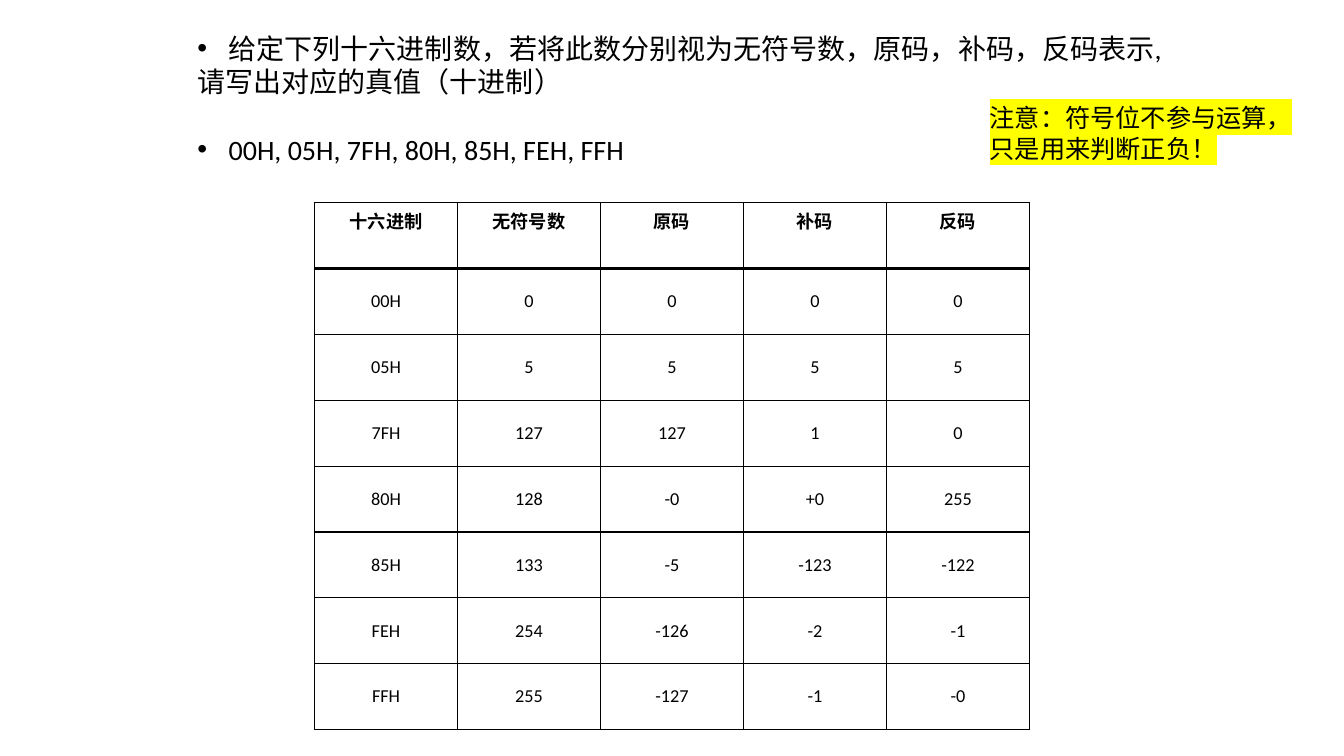
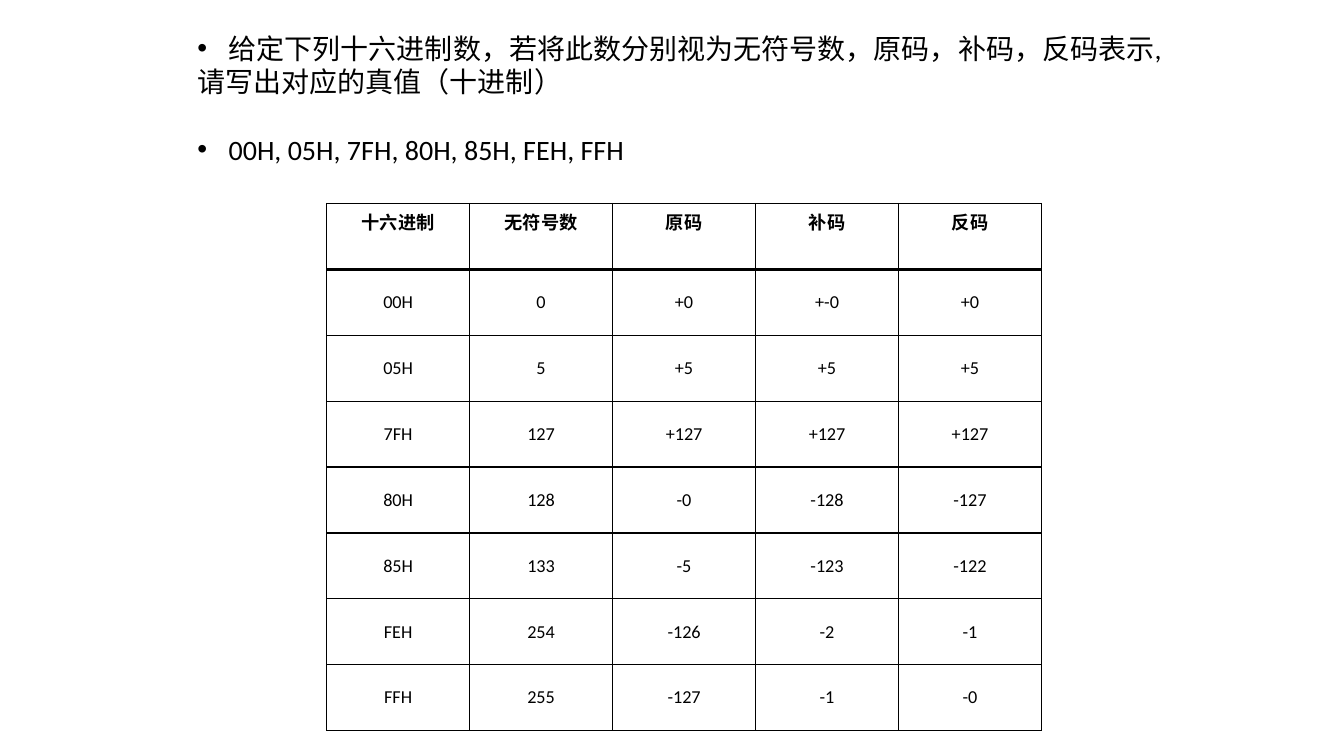
from dataclasses import dataclass

from lxml.etree import SubElement
from pptx import Presentation
from pptx.dml.color import RGBColor
from pptx.enum.lang import MSO_LANGUAGE_ID as Language
from pptx.enum.text import MSO_ANCHOR as Anchor, MSO_AUTO_SIZE as AutoSize, PP_ALIGN as Align
from pptx.oxml import parse_xml
from pptx.oxml.ns import nsdecls, qn
from pptx.slide import Slide
from pptx.table import _Cell as Cell
from pptx.text.text import TextFrame, _Paragraph as Paragraph
from pptx.util import Emu, Inches, Pt

SLIDE_WIDTH, SLIDE_HEIGHT = Inches(13.33), Inches(7.5)
FONT, INK, HIGHLIGHT = "Calibri", "000000", "FFFF00"
QUESTION_SIZE, NOTE_SIZE, TABLE_SIZE = 20, 18, 13
BULLET_INDENT = Inches(0.31)
THIN, THICK = 1, 2

HEADINGS = ("十六进制", "无符号数", "原码", "补码", "反码")
CODES = ("00H", "05H", "7FH", "80H", "85H", "FEH", "FFH")


@dataclass(frozen=True)
class Area:
    """A rectangle in percent of the slide's width and height."""
    left: float
    top: float
    width: float
    height: float

    def lengths(self) -> tuple[Emu, Emu, Emu, Emu]:
        return (Emu(int(SLIDE_WIDTH * self.left / 100)), Emu(int(SLIDE_HEIGHT * self.top / 100)),
                Emu(int(SLIDE_WIDTH * self.width / 100)), Emu(int(SLIDE_HEIGHT * self.height / 100)))


@dataclass(frozen=True)
class QuestionLine:
    text: str
    bulleted: bool = True
    space_before: int = 0


@dataclass(frozen=True)
class Exercise:
    question_area: Area
    table_area: Area
    values: tuple[tuple[str, ...], ...]
    note: str = ""


QUESTION = (
    QuestionLine("给定下列十六进制数，若将此数分别视为无符号数，原码，补码，反码表示,"),
    QuestionLine("请写出对应的真值（十进制）", bulleted=False),
    QuestionLine(", ".join(CODES), space_before=24),
)
NOTE_AREA = Area(72.9, 12.93, 24.9, 13.87)
EXERCISES = (
    Exercise(
        Area(13.95, 3.47, 73.8, 28.27),
        Area(23.4, 26.8, 53.2, 69.73),
        (
            ("0", "0", "0", "0"),
            ("5", "5", "5", "5"),
            ("127", "127", "1", "0"),
            ("128", "-0", "+0", "255"),
            ("133", "-5", "-123", "-122"),
            ("254", "-126", "-2", "-1"),
            ("255", "-127", "-1", "-0"),
        ),
        "注意：符号位不参与运算，只是用来判断正负！",
    ),
    Exercise(
        Area(13.95, 3.47, 73.8, 19.33),
        Area(24.3, 26.93, 53.2, 69.73),
        (
            ("0", "+0", "+-0", "+0"),
            ("5", "+5", "+5", "+5"),
            ("127", "+127", "+127", "+127"),
            ("128", "-0", "-128", "-127"),
            ("133", "-5", "-123", "-122"),
            ("254", "-126", "-2", "-1"),
            ("255", "-127", "-1", "-0"),
        ),
    ),
)


def color(value: str) -> RGBColor:
    return RGBColor.from_string(value)


def add_run(paragraph: Paragraph, text: str, size: int, bold: bool = False, highlight: str = "") -> None:
    run = paragraph.add_run()
    run.text = text
    font = run.font
    font.name, font.size, font.bold = FONT, Pt(size), bold
    font.language_id = Language.SIMPLIFIED_CHINESE
    font.color.rgb = color(INK)
    if highlight:
        fill = run._r.get_or_add_rPr().find(qn("a:solidFill"))
        fill.addnext(parse_xml(
            f'<a:highlight {nsdecls("a")}><a:srgbClr val="{color(highlight)}"/></a:highlight>'))


def add_bullet(paragraph: Paragraph) -> None:
    properties = paragraph._p.get_or_add_pPr()
    properties.set("marL", str(BULLET_INDENT))
    properties.set("indent", str(-BULLET_INDENT))
    SubElement(properties, qn("a:buFont")).set("typeface", "Arial")
    SubElement(properties, qn("a:buChar")).set("char", "•")


def add_text_frame(slide: Slide, area: Area, wrap: bool) -> TextFrame:
    frame = slide.shapes.add_textbox(*area.lengths()).text_frame
    frame.word_wrap = wrap
    return frame


def add_question(slide: Slide, area: Area) -> None:
    frame = add_text_frame(slide, area, wrap=False)
    frame.auto_size = AutoSize.SHAPE_TO_FIT_TEXT
    for index, line in enumerate(QUESTION):
        paragraph = frame.add_paragraph() if index else frame.paragraphs[0]
        if line.bulleted:
            add_bullet(paragraph)
        if line.space_before:
            paragraph.space_before = Pt(line.space_before)
        add_run(paragraph, line.text, QUESTION_SIZE)


def set_borders(cell: Cell, bottom: int) -> None:
    properties = cell._tc.get_or_add_tcPr()
    for side, width in (("L", THIN), ("R", THIN), ("T", THIN), ("B", bottom)):
        properties.append(parse_xml(
            f'<a:ln{side} {nsdecls("a")} w="{Pt(width)}"><a:solidFill>'
            f'<a:srgbClr val="{color(INK)}"/></a:solidFill></a:ln{side}>'))


def add_code_table(slide: Slide, area: Area, values: tuple[tuple[str, ...], ...]) -> None:
    rows = [HEADINGS, *((code, *numbers) for code, numbers in zip(CODES, values))]
    table = slide.shapes.add_table(len(rows), len(HEADINGS), *area.lengths()).table
    table.first_row = table.horz_banding = False
    for row_index, row in enumerate(rows):
        heading = row_index == 0
        for column_index, text in enumerate(row):
            cell = table.cell(row_index, column_index)
            cell.vertical_anchor = Anchor.TOP if heading else Anchor.MIDDLE
            set_borders(cell, THICK if heading else THIN)
            cell.fill.background()
            paragraph = cell.text_frame.paragraphs[0]
            paragraph.alignment = Align.CENTER
            add_run(paragraph, text, TABLE_SIZE, bold=heading)


def add_note(slide: Slide, text: str) -> None:
    frame = add_text_frame(slide, NOTE_AREA, wrap=True)
    add_run(frame.paragraphs[0], text, NOTE_SIZE, highlight=HIGHLIGHT)


def main() -> None:
    """Build one slide per exercise and save the presentation."""
    presentation = Presentation()
    presentation.slide_width, presentation.slide_height = SLIDE_WIDTH, SLIDE_HEIGHT
    blank = presentation.slide_layouts[6]
    for exercise in EXERCISES:
        slide = presentation.slides.add_slide(blank)
        add_question(slide, exercise.question_area)
        add_code_table(slide, exercise.table_area, exercise.values)
        if exercise.note:
            add_note(slide, exercise.note)
    presentation.save("out.pptx")


if __name__ == "__main__":
    main()
